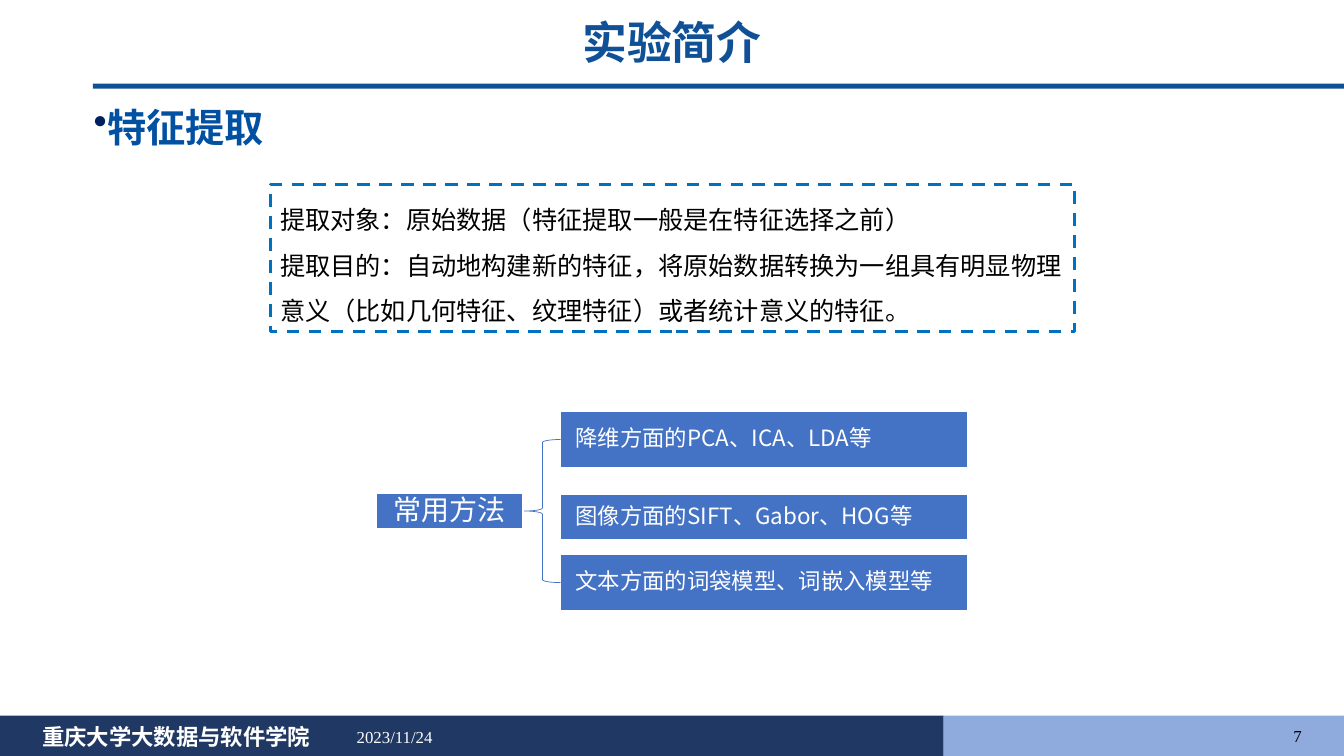
"""Build the feature extraction slide of the experiment introduction."""
from dataclasses import dataclass

from lxml import etree
from pptx import Presentation
from pptx import util as u
from pptx.dml.color import RGBColor
from pptx.enum import dml, shapes, text
from pptx.oxml import ns

PX = 9144


@dataclass(frozen=True)
class Theme:
    title: str = "0F5097"
    heading: str = "0150A2"
    bullet: str = "002060"
    frame: str = "0070C0"
    node: str = "4472C4"
    footer_dark: str = "203864"
    footer_light: str = "8FAADC"
    white: str = "FFFFFF"
    black: str = "000000"
    serif: str = "Times New Roman"
    sans: str = "Noto Sans CJK SC"
    title_size: int = 32
    heading_size: int = 28
    root_size: int = 20
    body_size: int = 18
    branch_size: int = 16
    footer_size: int = 12


@dataclass(frozen=True)
class Box:
    left: int
    top: int
    width: int
    height: int

    def emu(self) -> list[u.Emu]:
        """Return the box as EMU lengths."""
        return [u.Emu(n * PX) for n in (self.left, self.top, self.width, self.height)]


@dataclass(frozen=True)
class Style:
    size: int
    color: str
    font: str
    bold: bool = False
    align: text.PP_ALIGN = text.PP_ALIGN.LEFT
    anchor: text.MSO_ANCHOR = text.MSO_ANCHOR.TOP
    spacing: float = 1.0
    insets: tuple[int, int, int, int] = (10, 5, 10, 5)


@dataclass(frozen=True)
class Node:
    label: str
    box: Box
    style: Style


@dataclass(frozen=True)
class Caption:
    label: str
    box: Box
    style: Style


THEME = Theme()
MIDDLE = text.MSO_ANCHOR.MIDDLE
BRANCH = Style(THEME.branch_size, THEME.white, THEME.sans, anchor=MIDDLE,
               spacing=0.9, insets=(15, 1, 1, 1))
ROOT = Style(THEME.root_size, THEME.white, THEME.sans, align=text.PP_ALIGN.CENTER,
             anchor=MIDDLE, spacing=0.9, insets=(1, 1, 1, 1))
TITLE = Style(THEME.title_size, THEME.title, THEME.serif, True,
              text.PP_ALIGN.CENTER)
HEADING = Style(THEME.heading_size, THEME.heading, THEME.serif, True,
                text.PP_ALIGN.JUSTIFY, spacing=1.2)
BODY = Style(THEME.body_size, THEME.black, THEME.sans, spacing=1.5)

BARS = [
    (Box(92, 83, 1242, 5), THEME.title),
    (Box(0, 710, 936, 40), THEME.footer_dark),
    (Box(936, 710, 398, 40), THEME.footer_light),
]
CAPTIONS = [
    Caption("重庆大学大数据与软件学院", Box(32, 712, 319, 37),
            Style(THEME.branch_size, THEME.white, THEME.serif, True)),
    Caption("2023/11/24", Box(344, 711, 300, 40),
            Style(THEME.footer_size, THEME.white, THEME.serif, anchor=MIDDLE)),
    Caption("7", Box(1001, 710, 300, 40),
            Style(THEME.footer_size, THEME.black, THEME.serif,
                  align=text.PP_ALIGN.RIGHT, anchor=MIDDLE)),
]
NODES = [
    Node("常用方法", Box(373, 489, 145, 36), ROOT),
    Node("降维方面的PCA、ICA、LDA等", Box(556, 408, 404, 56), BRANCH),
    Node("图像方面的SIFT、Gabor、HOG等", Box(556, 490, 404, 46), BRANCH),
    Node("文本方面的词袋模型、词嵌入模型等", Box(556, 550, 404, 56), BRANCH),
]
DEFINITIONS = [
    "提取对象：原始数据（特征提取一般是在特征选择之前）",
    "提取目的：自动地构建新的特征，将原始数据转换为一组具有明显物理意义"
    "（比如几何特征、纹理特征）或者统计意义的特征。",
]


def rgb(color: str) -> RGBColor:
    """Turn a hex string into a colour."""
    return RGBColor.from_string(color)


def write(frame, lines: list[str], style: Style) -> None:
    """Fill a text frame with one styled run per line."""
    frame.word_wrap = True
    frame.auto_size = text.MSO_AUTO_SIZE.NONE
    frame.vertical_anchor = style.anchor
    (frame.margin_left, frame.margin_top,
     frame.margin_right, frame.margin_bottom) = [u.Emu(n * PX) for n in style.insets]
    for index, line in enumerate(lines):
        paragraph = frame.add_paragraph() if index else frame.paragraphs[0]
        paragraph.alignment = style.align
        paragraph.line_spacing = style.spacing
        run = paragraph.add_run()
        run.text = line
        run.font.size = u.Pt(style.size)
        run.font.bold = style.bold
        run.font.name = style.font
        run.font.color.rgb = rgb(style.color)
        east_asian = etree.SubElement(run.font._element, ns.qn("a:ea"))
        east_asian.set("typeface", THEME.sans)


def add_figure(slide, kind: shapes.MSO_SHAPE, box: Box, fill: str | None = None,
               line: str | None = None, weight: float = 1):
    """Add a flat preset shape with an optional fill and outline."""
    figure = slide.shapes.add_shape(kind, *box.emu())
    figure.shadow.inherit = False
    if fill:
        figure.fill.solid()
        figure.fill.fore_color.rgb = rgb(fill)
    else:
        figure.fill.background()
    if line:
        figure.line.color.rgb = rgb(line)
        figure.line.width = u.Pt(weight)
    else:
        figure.line.fill.background()
    return figure


def add_caption(slide, caption: Caption):
    """Add a text box and return its text frame."""
    frame = slide.shapes.add_textbox(*caption.box.emu()).text_frame
    write(frame, [caption.label], caption.style)
    return frame


def add_bullet(paragraph, color: str) -> None:
    """Give a paragraph a coloured round bullet."""
    properties = paragraph._p.get_or_add_pPr()
    properties.set("marL", "0")
    properties.set("indent", str(-28 * PX))
    bullet_color = etree.SubElement(properties, ns.qn("a:buClr"))
    etree.SubElement(bullet_color, ns.qn("a:srgbClr")).set("val", color)
    etree.SubElement(properties, ns.qn("a:buChar")).set("char", "•")


def main() -> None:
    """Draw the slide and save it."""
    deck = Presentation()
    deck.slide_width, deck.slide_height = u.Inches(13.33), u.Inches(7.5)
    slide = deck.slides.add_slide(deck.slide_layouts.get_by_name("Title Only"))

    title = slide.shapes.title
    title.left, title.top, title.width, title.height = Box(0, 10, 1333, 64).emu()
    write(title.text_frame, ["实验简介"], TITLE)

    for box, fill in BARS:
        add_figure(slide, shapes.MSO_SHAPE.RECTANGLE, box, fill)
    for caption in CAPTIONS:
        add_caption(slide, caption)

    definition = add_figure(slide, shapes.MSO_SHAPE.RECTANGLE,
                            Box(268, 183, 798, 146), line=THEME.frame, weight=2.25)
    definition.line.dash_style = dml.MSO_LINE.DASH
    write(definition.text_frame, DEFINITIONS, BODY)

    for node in NODES:
        method = add_figure(slide, shapes.MSO_SHAPE.RECTANGLE, node.box,
                            THEME.node, THEME.white)
        write(method.text_frame, [node.label], node.style)
    add_figure(slide, shapes.MSO_SHAPE.LEFT_BRACE, Box(520, 436, 36, 142),
               line=THEME.node, weight=0.5)

    heading = add_caption(slide, Caption("特征提取", Box(83, 88, 667, 62), HEADING))
    add_bullet(heading.paragraphs[0], THEME.bullet)

    deck.save("out.pptx")


if __name__ == "__main__":
    main()
